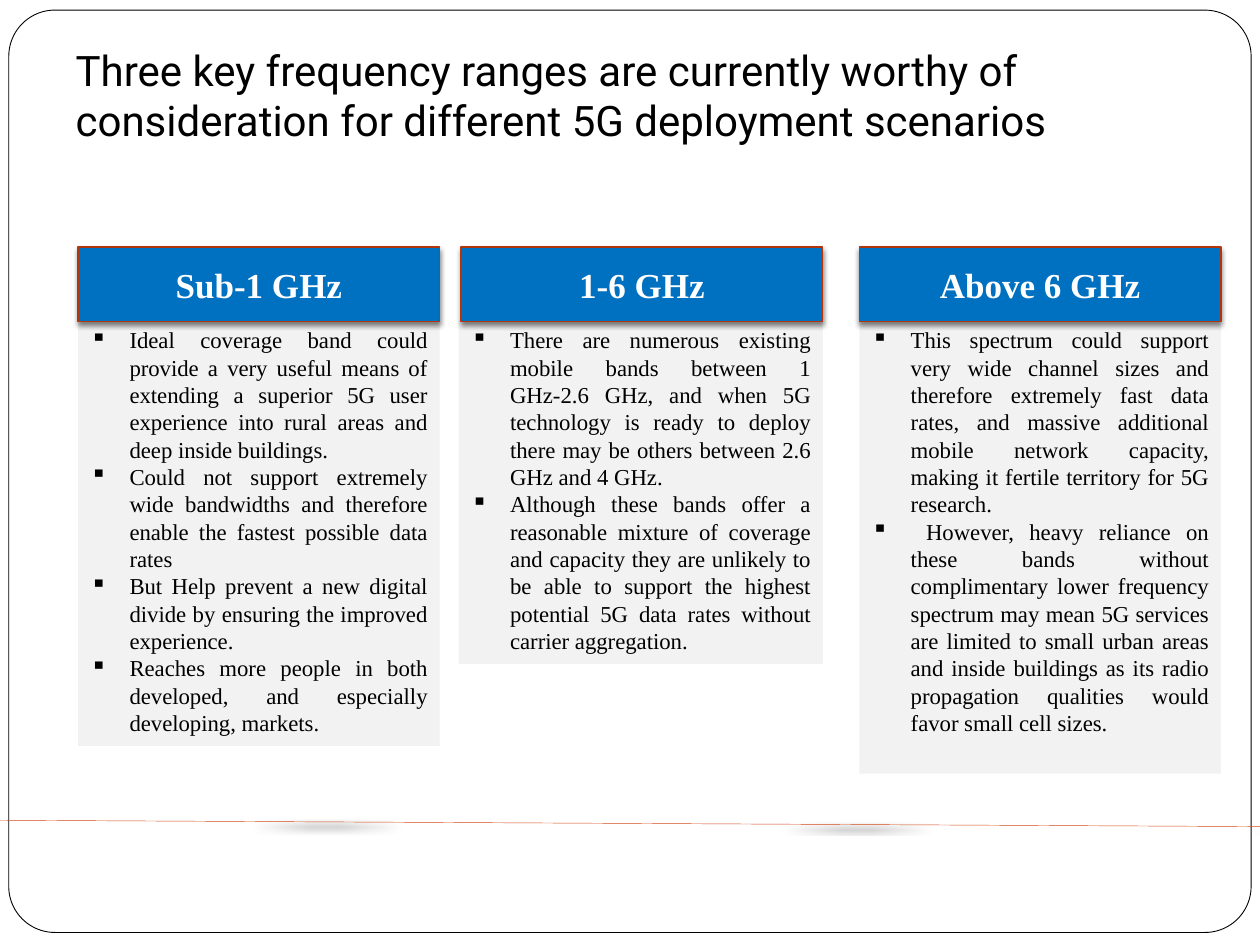
import lxml.etree
import pptx
import pptx.dml.color
import pptx.enum.shapes
import pptx.enum.text
import pptx.oxml
import pptx.oxml.ns
import pptx.util

RGBColor = pptx.dml.color.RGBColor
BLACK = RGBColor(0x00, 0x00, 0x00)
WHITE = RGBColor(0xFF, 0xFF, 0xFF)
BLUE = RGBColor(0x00, 0x70, 0xC0)
RUST = RGBColor(0xB1, 0x36, 0x0B)
ORANGE = RGBColor(0xD3, 0x48, 0x17)
LIGHT_GREY = RGBColor(0xF2, 0xF2, 0xF2)

SHAPES = pptx.enum.shapes.MSO_SHAPE
ALIGN = pptx.enum.text.PP_ALIGN
ANCHOR = pptx.enum.text.MSO_ANCHOR
BODY_FONT = "Times New Roman"
SHADOW = (
    f'<a:effectLst {pptx.oxml.ns.nsdecls("a")}>'
    '<a:outerShdw blurRad="38100" dist="25400" dir="5400000" rotWithShape="0">'
    '<a:srgbClr val="000000"><a:alpha val="50000"/></a:srgbClr>'
    "</a:outerShdw></a:effectLst>"
)

# Heading, left edge, panel left, panel width, panel height, bullets
RANGES = [
    ("Sub-1 GHz", 6.2, 6.2, 28.7, 45.07, [
        "Ideal coverage band could provide a very useful means of extending a "
        "superior 5G user experience into rural areas and deep inside buildings.",
        "Could not support extremely wide bandwidths and therefore enable the "
        "fastest possible data rates",
        "But Help prevent a new digital divide by ensuring the improved experience.",
        "Reaches more people in both developed, and especially developing, markets.",
    ]),
    ("1-6 GHz", 36.6, 36.4, 28.9, 36.4, [
        "There are numerous existing mobile bands between 1 GHz-2.6 GHz, and when "
        "5G technology is ready to deploy there may be others between 2.6 GHz and "
        "4 GHz.",
        "Although these bands offer a reasonable mixture of coverage and capacity "
        "they are unlikely to be able to support the highest potential 5G data "
        "rates without carrier aggregation.",
    ]),
    ("Above 6 GHz", 68.2, 68.2, 28.7, 48, [
        "This spectrum could support very wide channel sizes and therefore "
        "extremely fast data rates, and massive additional mobile network "
        "capacity, making it fertile territory for 5G research.",
        " However, heavy reliance on these bands without complimentary lower "
        "frequency spectrum may mean 5G services are limited to small urban areas "
        "and inside buildings as its radio propagation qualities would favor small "
        "cell sizes.",
    ]),
]
HEADING_TOP, HEADING_WIDTH, HEADING_HEIGHT = 26.13, 28.7, 7.87
PANEL_TOP = 33.87

deck = pptx.Presentation()
deck.slide_width = pptx.util.Inches(10)
deck.slide_height = pptx.util.Inches(7.5)
page = deck.slides.add_slide(deck.slide_layouts[5])


def grid(*lengths):
    """Turn alternating columns and rows of a 100 by 100 grid into slide units."""
    sides = (deck.slide_width, deck.slide_height)
    return [round(sides[i % 2] * length / 100) for i, length in enumerate(lengths)]


def add_span(para, text, font, size, color, bold=False):
    span = para.add_run()
    span.text = text
    span.font.name = font
    span.font.size = pptx.util.Pt(size)
    span.font.color.rgb = color
    span.font.bold = bold


# Rounded frame behind everything
frame = page.shapes.add_shape(SHAPES.ROUNDED_RECTANGLE, *grid(0.7, 1.07, 98.6, 97.6))
frame.adjustments[0] = 0.05
frame.shadow.inherit = False
frame.fill.solid()
frame.fill.fore_color.rgb = WHITE
frame.line.color.rgb = BLACK
frame.line.width = pptx.util.Pt(0.5)
page.shapes._spTree.insert(2, frame._element)

# Title
title = page.shapes.title
title.left, title.top, title.width, title.height = grid(5, 0, 90, 16.67)
title_text = title.text_frame
title_text.auto_size = pptx.enum.text.MSO_AUTO_SIZE.NONE
title_text.vertical_anchor = ANCHOR.BOTTOM
title_text.margin_bottom = pptx.util.Inches(0.1)
title_para = title_text.paragraphs[0]
title_para.alignment = ALIGN.LEFT
add_span(title_para, "Three key frequency ranges are currently worthy of consideration "
         "for different 5G deployment scenarios", "Roboto", 24, BLACK)

# Bulleted panels
for _, _, left, width, height, bullets in RANGES:
    panel = page.shapes.add_shape(
        SHAPES.RECTANGLE, *grid(left, PANEL_TOP, width, height))
    panel.shadow.inherit = False
    panel.fill.solid()
    panel.fill.fore_color.rgb = LIGHT_GREY
    panel.line.fill.background()
    panel_text = panel.text_frame
    panel_text.word_wrap = True
    panel_text.vertical_anchor = ANCHOR.TOP
    for number, bullet in enumerate(bullets):
        para = panel_text.add_paragraph() if number else panel_text.paragraphs[0]
        para.alignment = ALIGN.JUSTIFY
        properties = para._p.get_or_add_pPr()
        indent = pptx.util.Inches(0.31)
        properties.set("marL", str(indent))
        properties.set("indent", str(-indent))
        mark = lxml.etree.SubElement(properties, pptx.oxml.ns.qn("a:buChar"))
        mark.set("char", "▪")
        add_span(para, bullet, BODY_FONT, 13, BLACK)

# Headings over the panels
for heading, left, *_ in RANGES:
    box = page.shapes.add_shape(
        SHAPES.RECTANGLE, *grid(left, HEADING_TOP, HEADING_WIDTH, HEADING_HEIGHT))
    box.fill.solid()
    box.fill.fore_color.rgb = BLUE
    box.line.color.rgb = RUST
    box.line.width = pptx.util.Pt(0.75)
    box._element.spPr.append(pptx.oxml.parse_xml(SHADOW))
    box.text_frame.word_wrap = True
    box.text_frame.vertical_anchor = ANCHOR.MIDDLE
    para = box.text_frame.paragraphs[0]
    para.alignment = ALIGN.CENTER
    add_span(para, heading, BODY_FONT, 20, WHITE, bold=True)

# Slightly sloping rule across the slide
rule = page.shapes.add_connector(
    pptx.enum.shapes.MSO_CONNECTOR.STRAIGHT, *grid(0, 86.8, 100, 87.47))
rule.line.color.rgb = ORANGE
rule.line.width = pptx.util.Pt(0.25)
rule._element.spPr.append(pptx.oxml.parse_xml(SHADOW))

deck.save("out.pptx")
